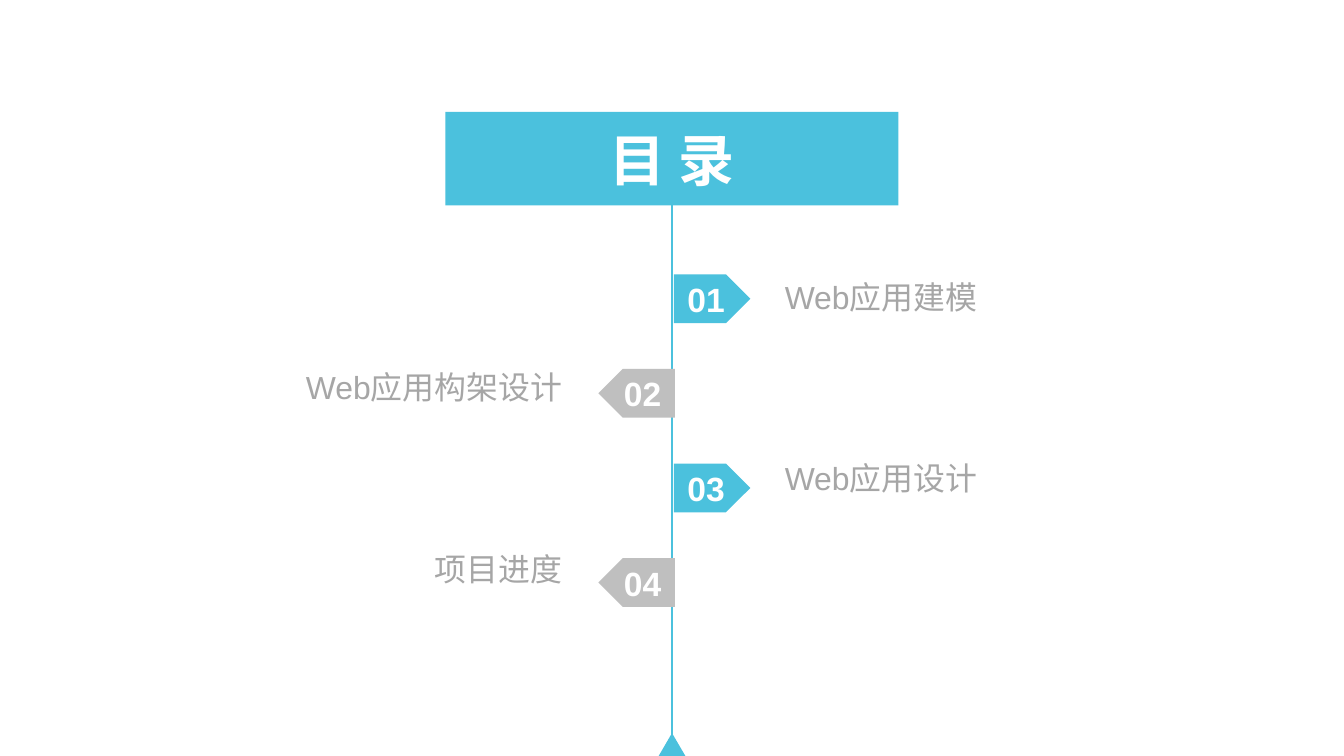
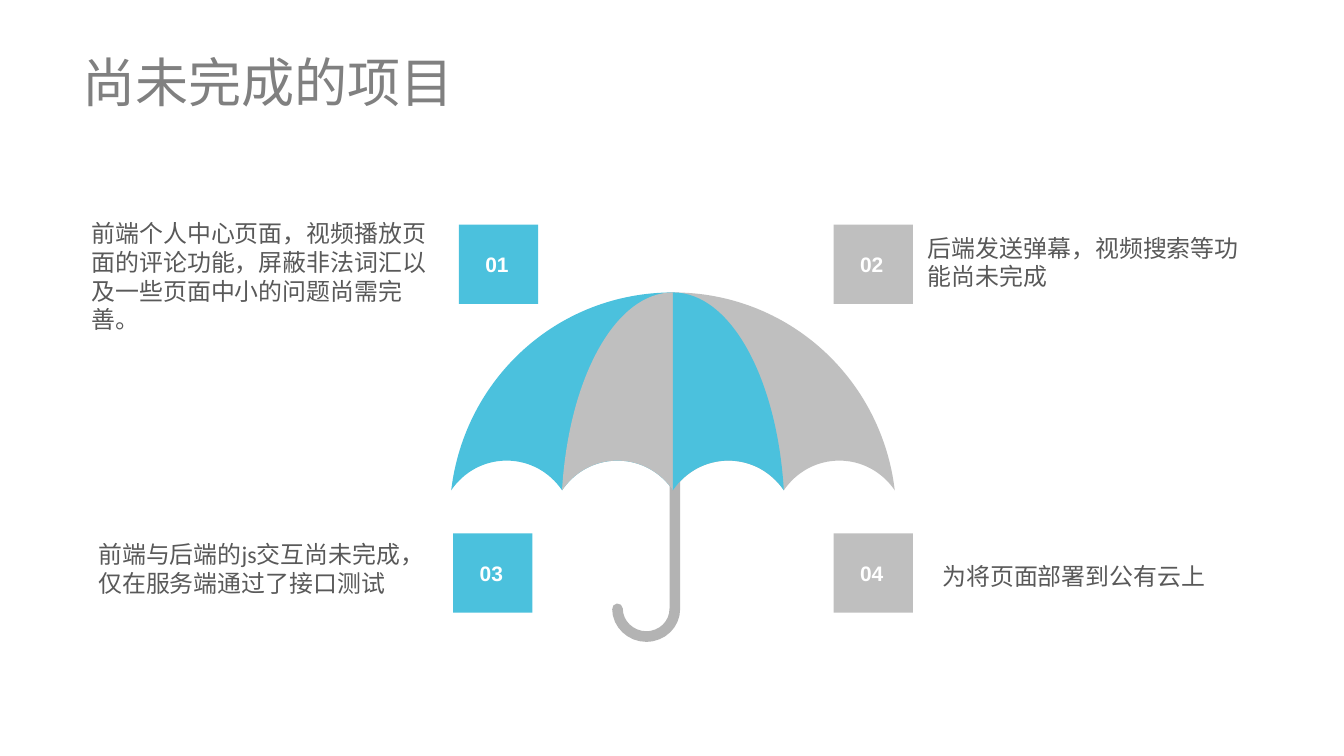
from lxml.etree import SubElement
from pptx import Presentation
from pptx.dml.color import RGBColor
from pptx.enum.shapes import MSO_CONNECTOR as CONN, MSO_SHAPE as SHAPE
from pptx.enum.text import MSO_ANCHOR as ANCHOR, PP_ALIGN as ALIGN
from pptx.oxml.ns import qn
from pptx.util import Inches, Pt

WIDTH, HEIGHT = 14.06, 7.91
CENTRE = WIDTH / 2
COLORS = dict(blue="4BC1DD", silver="BFBFBF", handle="B3B3B3", white="FFFFFF",
              label="A6A6A6", title="808080", body="595959")
PAIR = ("blue", "silver")

CONTENTS_TITLE = "目 录"
CONTENTS = ["Web应用建模", "Web应用构架设计 ", "Web应用设计", "项目进度"]

TODO_TITLE = "尚未完成的项目"
# text, box of the text, (left, top) of the number square
TODO = [
    ("前端个人中心页面，视频播放页面的评论功能，屏蔽非法词汇以及一些页面中小的问题尚需完善。",
     (0.86, 2.24, 3.91, 1.01), (4.8, 2.35)),
    ("后端发送弹幕，视频搜索等功能尚未完成", (9.61, 2.39, 3.67, 0.71), (8.72, 2.35)),
    ("前端与后端的js交互尚未完成，仅在服务端通过了接口测试",
     (0.93, 5.6, 3.67, 0.71), (4.74, 5.58)),
    ("为将页面部署到公有云上", (9.76, 5.83, 3.67, 0.4), (8.72, 5.58)),
]


def rgb(name):
    return RGBColor.from_string(COLORS[name])


def write(s, text, size, color, bold=False, align=ALIGN.LEFT, font="Arial",
          anchor=ANCHOR.MIDDLE, inset=True):
    tf = s.text_frame
    tf.word_wrap = True
    tf.vertical_anchor = anchor
    if not inset:
        tf.margin_left = tf.margin_right = tf.margin_top = tf.margin_bottom = 0
    p = tf.paragraphs[0]
    p.text = text
    p.alignment = align
    p._p.get_or_add_pPr().set("hangingPunct", "0")
    f = p.runs[0].font
    f.size, f.bold, f.name = Pt(size), bold, font
    f.color.rgb = rgb(color)


def paint(s, color):
    s.shadow.inherit = False
    s.line.fill.background()
    s.fill.solid()
    s.fill.fore_color.rgb = rgb(color)


def add_block(slide, kind, box, color, text=None, size=None):
    s = slide.shapes.add_shape(kind, *map(Inches, box))
    paint(s, color)
    if text:
        write(s, text, size, "white", bold=True, align=ALIGN.CENTER, inset=False)
    return s


def add_text(slide, box, *args, **kwargs):
    write(slide.shapes.add_textbox(*map(Inches, box)), *args, **kwargs)


def add_curve(group, start, curves, close=True):
    """Draw cubic curves, each given as two controls and an end point."""
    points = [(Inches(x), Inches(y)) for curve in curves for x, y in curve]
    builder = group.shapes.build_freeform(Inches(start[0]), Inches(start[1]))
    builder.add_line_segments(points, close=close)
    s = builder.convert_to_shape()
    path = next(s._element.iter(qn("a:path")))
    lines = path.findall(qn("a:lnTo"))
    for i in range(0, len(lines), 3):
        cubic = path.makeelement(qn("a:cubicBezTo"))
        lines[i].addprevious(cubic)
        for line in lines[i:i + 3]:
            cubic.append(line[0])
            path.remove(line)
    return s


def add_umbrella(slide):
    group = slide.shapes.add_group_shape()
    cx, top, brim, crest, span = 7.04, 3.06, 5.13, 4.82, 1.16

    left, mid, right, bend, low = 6.46, 6.76, 7.06, 6.37, 6.66
    handle = add_curve(group, (left, bend), [
        ((left, 6.53), (6.6, low), (mid, low)),
        ((6.93, low), (right, 6.53), (right, bend)),
        ((right, bend), (right, 3.99), (right, 3.99))], close=False)
    handle.shadow.inherit = False
    handle.fill.background()
    handle.line.color.rgb = rgb("handle")
    handle.line.width = Pt(8)
    handle.line._get_or_add_ln().set("cap", "rnd")

    def rib(reach):
        return (cx + 0.52 * reach, top), (cx + 0.94 * reach, 3.96), (cx + reach, brim)

    def scallop(x):
        half, end = x + span / 2, x + span
        return [((x + 0.13, 4.94), (half - 0.24, crest), (half, crest)),
                ((half + 0.24, crest), (end - 0.13, 4.94), (end, brim))]

    # first scallop counted from the pole, number of scallops, colour
    for first, count, color in ((0, 2, "silver"), (-2, 2, "blue"),
                                (-1, 1, "silver"), (0, 1, "blue")):
        down, (b, a, _) = rib(first * span), rib((first + count) * span)
        curves = [down]
        for i in range(first, first + count):
            curves += scallop(cx + i * span)
        curves.append((a, b, (cx, top)))
        paint(add_curve(group, (cx, top), curves), color)


def build_contents(slide):
    trunk = slide.shapes.add_connector(CONN.STRAIGHT, Inches(CENTRE), Inches(1.17),
                                       Inches(CENTRE), Inches(HEIGHT))
    trunk.line.color.rgb = rgb("blue")
    trunk.line.width = Pt(2)
    SubElement(trunk._element.spPr, qn("a:effectLst"))
    banner = add_block(slide, SHAPE.RECTANGLE, (CENTRE - 2.37, 1.17, 4.74, 0.98),
                       "blue", CONTENTS_TITLE, 42.2)
    trunk.begin_connect(banner, 0)
    add_block(slide, SHAPE.ISOSCELES_TRIANGLE,
              (CENTRE - 0.14, HEIGHT - 0.24, 0.28, 0.24), "blue")

    for i, text in enumerate(CONTENTS):
        left_side = i % 2 == 1
        tag = add_block(slide, SHAPE.PENTAGON,
                        (6.26 if left_side else 7.05, 2.87 + 0.99 * i, 0.8, 0.51),
                        PAIR[i % 2], f"{i + 1:02}", 25.3)
        if left_side:
            tag._element.spPr.xfrm.set("flipH", "1")
        label = slide.shapes.add_shape(
            SHAPE.RECTANGLE, Inches(3.18 if left_side else 8.21),
            Inches(2.9 + 0.95 * i), Inches(2.7), Inches(0.4))
        label.shadow.inherit = False
        label.fill.background()
        label.line.fill.background()
        write(label, text, 24, "label", inset=False,
              align=ALIGN.RIGHT if left_side else ALIGN.LEFT)


def build_todo(slide):
    add_umbrella(slide)
    for i, (text, box, corner) in enumerate(TODO):
        square = add_block(slide, SHAPE.RECTANGLE, (*corner, 0.83, 0.83), PAIR[i % 2],
                           f"{i + 1:02}", 15.8)
        square.text_frame.margin_right = Inches(0.03)
        add_text(slide, box, text, 18, "body", font="Calibri", anchor=ANCHOR.TOP)
    add_text(slide, (0.86, 0.52, 4.32, 0.67), TODO_TITLE, 40, "title", inset=False)


def main():
    prs = Presentation()
    prs.slide_width, prs.slide_height = Inches(WIDTH), Inches(HEIGHT)
    for build in (build_contents, build_todo):
        build(prs.slides.add_slide(prs.slide_layouts[6]))
    prs.save("out.pptx")


if __name__ == "__main__":
    main()
